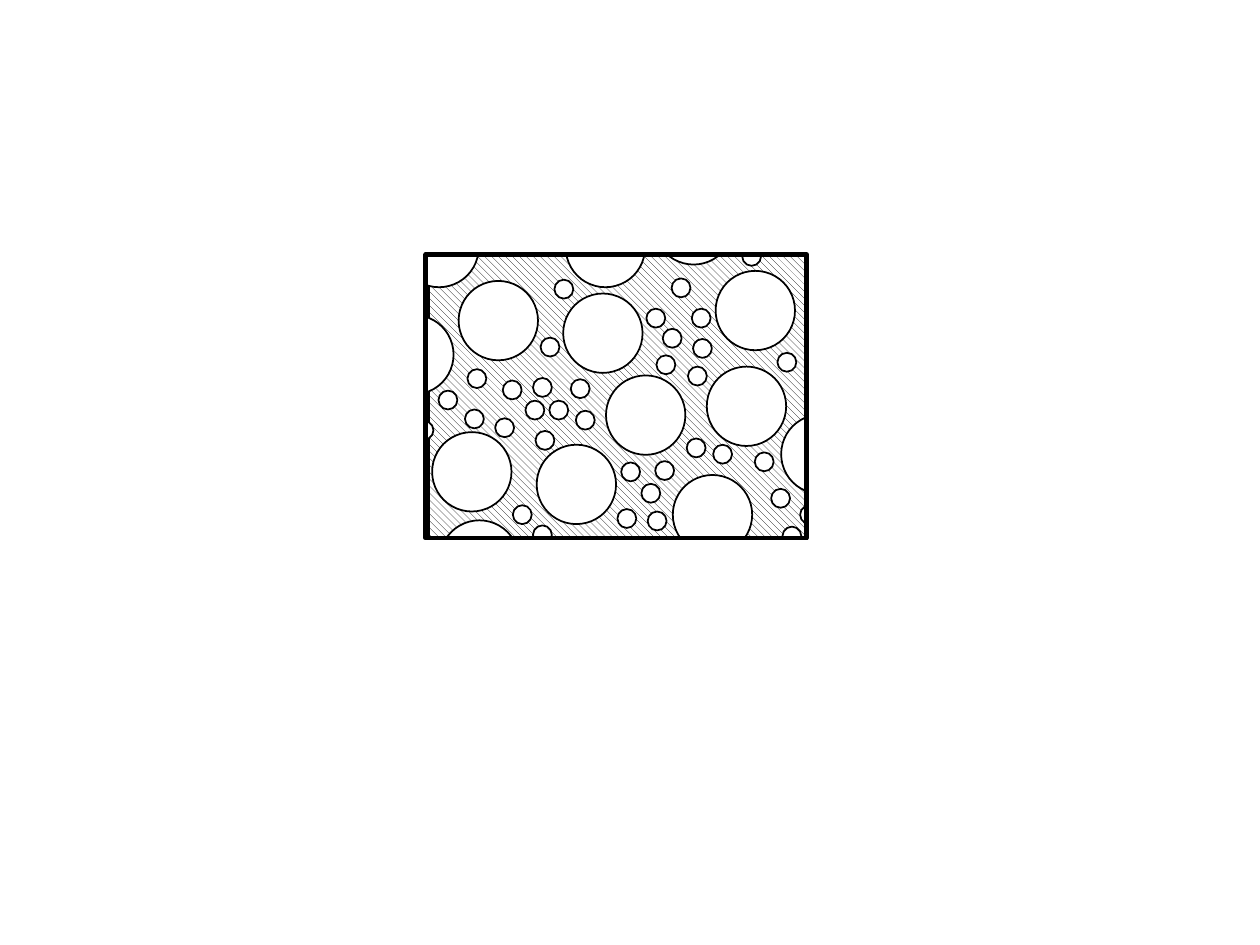
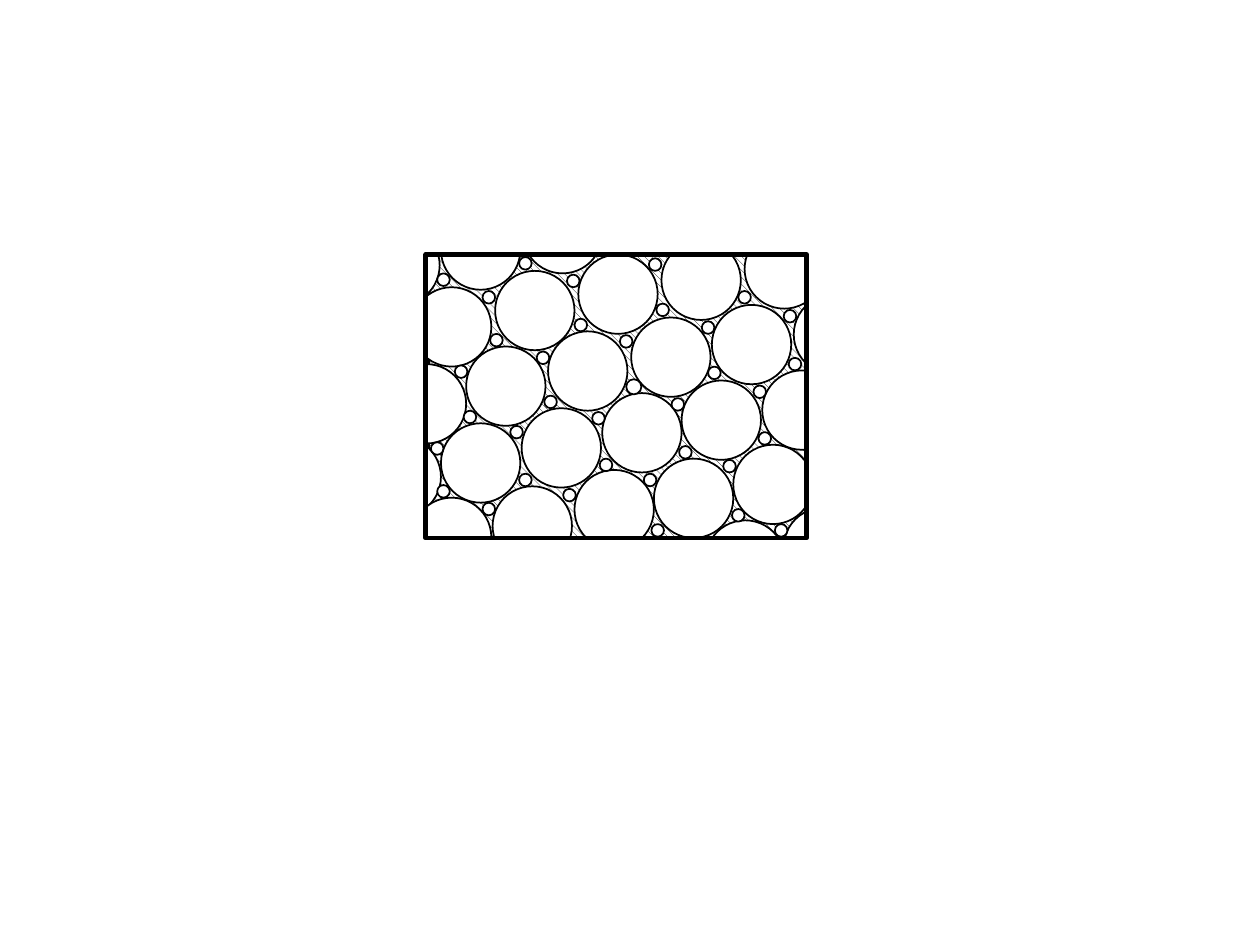
from pptx import Presentation
from pptx.dml.color import RGBColor
from pptx.enum.dml import MSO_PATTERN
from pptx.enum.shapes import MSO_SHAPE
from pptx.util import Cm, Pt

BLACK = RGBColor(0x00, 0x00, 0x00)
WHITE = RGBColor(0xFF, 0xFF, 0xFF)
CM_PER_INCH = 2.54
THIN, THICK = Pt(1), Pt(2.75)
LARGE, MEDIUM, SMALL, TINY = 0.63, 0.15, 0.12, 0.1
MATRIX = (3.39, 2.02, 3.02, 2.25)
FRAME = (3.38, 2.02, 3.02, 2.25)
TOP_MASK = (2.59, 1.19, 5.02, 0.81)


def add_outlined(group, kind, box, line_color, line_width):
    shape = group.shapes.add_shape(kind, *[Cm(value * CM_PER_INCH) for value in box])
    shape.shadow.inherit = False
    shape.fill.solid()
    shape.fill.fore_color.rgb = WHITE
    shape.line.color.rgb = line_color
    shape.line.width = line_width
    return shape


scattered_layers = [
    (LARGE, [
        (3.64, 2.23), (4.47, 2.33), (3.43, 3.43), (4.81, 2.98),
        (5.68, 2.15), (4.26, 3.53), (5.61, 2.91), (5.34, 3.77),
    ]),
    (MEDIUM, [
        (3.99, 3.02), (4.23, 3.0), (4.36, 3.18), (4.93, 3.67), (5.09, 3.84),
        (4.57, 3.26), (5.26, 2.61), (4.9, 4.04), (4.07, 4.01), (5.2, 3.66),
        (5.46, 2.91), (3.48, 3.1), (5.21, 2.82), (5.99, 3.59), (6.12, 3.88),
        (5.5, 2.69), (5.45, 3.48), (4.53, 3.01), (5.13, 2.45), (6.17, 2.8),
        (4.4, 2.22), (5.14, 4.06), (5.49, 2.45), (5.33, 2.21), (6.21, 4.18),
        (6.35, 4.01),
    ]),
    (LARGE, [
        (6.2, 3.29), (2.97, 2.5), (3.49, 4.13),
        (4.49, 1.65), (5.19, 1.47), (3.17, 1.65),
    ]),
    (MEDIUM, [
        (3.71, 2.93), (4.29, 2.68), (5.89, 1.96), (3.93, 3.32), (4.17, 3.18),
        (4.25, 3.42), (5.66, 3.53), (4.23, 4.17), (3.29, 3.34), (3.69, 3.25),
    ]),
]
scattered_masks = [
    (1.9, 1.07, 1.46, 4.61),
    (2.99, 4.29, 4.48, 0.85),
    (6.42, 1.63, 1.58, 3.51),
    TOP_MASK,
]

packed_layers = [
    (LARGE, [
        (3.27, 2.28), (3.91, 3.86), (3.07, 2.89), (2.87, 3.47), (4.35, 2.63),
        (3.7, 2.75), (3.27, 3.95), (3.5, 3.36), (4.14, 3.24), (5.01, 2.52),
        (3.5, 1.67), (4.56, 3.73), (4.78, 3.12), (3.93, 2.15), (2.86, 1.79),
        (4.15, 1.54), (4.59, 2.02), (5.41, 3.02), (5.19, 3.64), (5.82, 3.53),
        (5.6, 4.13), (6.22, 4.03), (6.05, 2.94), (5.65, 2.42), (5.25, 1.91),
        (5.91, 1.82), (6.3, 2.34),
    ]),
]
packed_masks = [
    TOP_MASK,
    (1.91, 1.08, 1.46, 4.61),
    (2.53, 4.29, 5.05, 1.25),
    (6.42, 1.21, 1.46, 4.61),
    (2.23, 0.77, 5.05, 1.25),
]
gap_layers = [
    (SMALL, [(4.97, 3.01)]),
    (TINY, [
        (5.33, 3.16), (5.11, 3.76), (5.39, 3.54), (5.74, 3.65), (4.76, 3.64),
        (4.47, 3.88), (4.12, 3.76), (5.17, 4.16), (3.83, 3.99), (4.7, 3.27),
        (4.05, 3.38), (5.81, 4.04), (5.62, 2.91), (6.02, 3.43), (6.15, 4.16),
        (6.26, 2.84), (5.98, 3.06), (5.57, 2.55), (5.86, 2.31), (6.22, 2.46),
        (4.92, 2.66), (5.21, 2.41), (5.15, 2.05), (3.61, 2.9), (4.56, 2.53),
        (4.5, 2.18), (4.26, 2.79), (3.89, 2.65), (3.68, 3.26), (4.32, 3.14),
        (3.42, 3.51), (3.47, 3.85), (3.83, 2.31), (4.12, 2.04), (3.47, 2.17),
    ]),
]


def add_circles(group, layers):
    for diameter, corners in layers:
        for left, top in corners:
            box = (left, top, diameter, diameter)
            add_outlined(group, MSO_SHAPE.OVAL, box, BLACK, THIN)


presentation = Presentation()
presentation.slide_width = Cm(25.4)
presentation.slide_height = Cm(19.05)
blank_layout = presentation.slide_layouts[6]

for clipped_layers, masks, top_layers in [
    (scattered_layers, scattered_masks, []),
    (packed_layers, packed_masks, gap_layers),
]:
    slide = presentation.slides.add_slide(blank_layout)
    slide.background.fill.solid()
    slide.background.fill.fore_color.rgb = WHITE
    group = slide.shapes.add_group_shape()

    matrix = add_outlined(group, MSO_SHAPE.RECTANGLE, MATRIX, BLACK, THICK)
    matrix.fill.patterned()
    matrix.fill.pattern = MSO_PATTERN.WIDE_DOWNWARD_DIAGONAL
    matrix.fill.fore_color.rgb = BLACK
    matrix.fill.back_color.rgb = WHITE

    add_circles(group, clipped_layers)
    for mask in masks:
        add_outlined(group, MSO_SHAPE.RECTANGLE, mask, WHITE, THIN)
    frame = add_outlined(group, MSO_SHAPE.RECTANGLE, FRAME, BLACK, THICK)
    frame.fill.background()
    add_circles(group, top_layers)

presentation.save("out.pptx")
